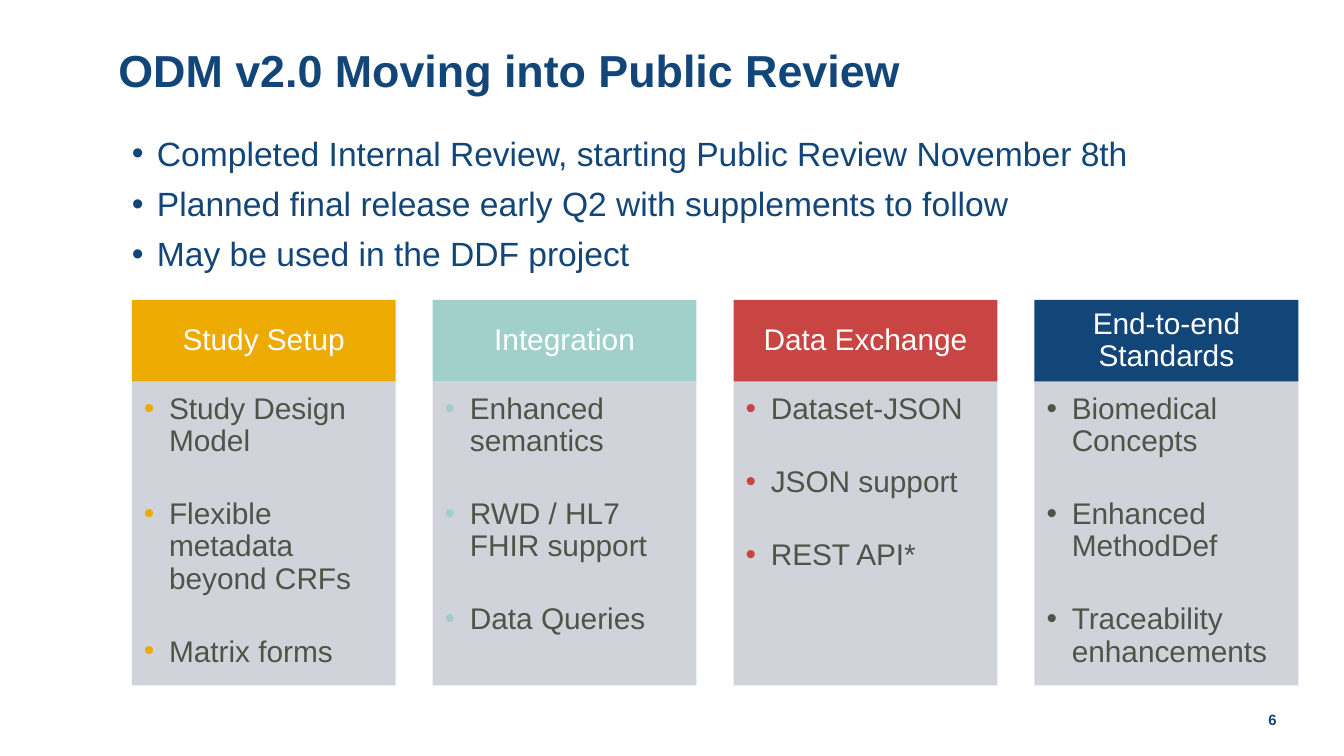
from lxml import etree
from pptx import Presentation
from pptx.dml.color import RGBColor
from pptx.enum.shapes import MSO_SHAPE
from pptx.enum.text import MSO_ANCHOR, PP_ALIGN
from pptx.oxml.ns import qn
from pptx.util import Pt

RECT = MSO_SHAPE.RECTANGLE
TOP, MIDDLE = MSO_ANCHOR.TOP, MSO_ANCHOR.MIDDLE
LEFT, CENTER, RIGHT = PP_ALIGN.LEFT, PP_ALIGN.CENTER, PP_ALIGN.RIGHT
NAVY, WHITE, GRAY, PALE = "134678", "FFFFFF", "515349", "CCCFD6"


def color(code):
    return RGBColor.from_string(code)


def write(shape, lines, size, ink, bold=False, align=LEFT, anchor=TOP,
          inset=(0, 0, 0, 0), gap=0, dot=None):
    """Fill a shape with paragraphs; dot is the bullet colour, if any."""
    frame = shape.text_frame
    frame.word_wrap = True
    frame.vertical_anchor = anchor
    frame.margin_left, frame.margin_top, frame.margin_right, frame.margin_bottom = map(Pt, inset)
    for i, line in enumerate(lines):
        para = frame.add_paragraph() if i else frame.paragraphs[0]
        para.text = line
        para.alignment = align
        para.line_spacing = 0.9
        if i:
            para.space_before = Pt(gap)
        if dot:
            props = para._p.get_or_add_pPr()
            props.set("marL", str(Pt(13.5)))
            props.set("indent", str(-Pt(13.5)))
            tint = etree.SubElement(props, qn("a:buClr"))
            etree.SubElement(tint, qn("a:srgbClr"), val=dot)
            etree.SubElement(props, qn("a:buFont"), typeface="Arial")
            etree.SubElement(props, qn("a:buChar"), char="•")
        font = para.font
        font.name, font.size, font.bold = "Arial", Pt(size), bold
        font.color.rgb = color(ink)


deck = Presentation()
deck.slide_width, deck.slide_height = Pt(720), Pt(405)
slide = deck.slides.add_slide(deck.slide_layouts[6])
shapes = slide.shapes

# Title
title = shapes.add_textbox(Pt(63.4), Pt(0), Pt(620.6), Pt(78.5))
write(title, ["ODM v2.0 Moving into Public Review"], 24, NAVY, bold=True, anchor=MIDDLE)

# Status bullets
status = shapes.add_textbox(Pt(70.6), Pt(73.4), Pt(625), Pt(78.5))
write(status, [
    "Completed Internal Review, starting Public Review November 8th",
    "Planned final release early Q2 with supplements to follow",
    "May be used in the DDF project",
], 18, NAVY, gap=7.5, dot=NAVY)

# Four theme columns: heading, fill, bullet colour, items
themes = [
    ("Study Setup", "EDAA00", "EDAA00",
     ["Study Design Model", "Flexible metadata beyond CRFs", "Matrix forms"]),
    ("Integration", "A1D0CA", "A1D0CA",
     ["Enhanced semantics", "RWD / HL7 FHIR support", "Data Queries"]),
    ("Data Exchange", "C94543", "C94543",
     ["Dataset-JSON", "JSON support", "REST API*"]),
    ("End-to-end Standards", NAVY, GRAY,
     ["Biomedical Concepts", "Enhanced MethodDef", "Traceability enhancements"]),
]
for i, (name, fill, dot, items) in enumerate(themes):
    left = Pt(70.6 + 161.2 * i)
    head = shapes.add_shape(RECT, left, Pt(160.6), Pt(141.4), Pt(43.9))
    body = shapes.add_shape(RECT, left, Pt(204.5), Pt(141.4), Pt(162.7))
    for box, shade in ((head, fill), (body, PALE)):
        box.shadow.inherit = False
        box.line.fill.background()
        box.fill.solid()
        box.fill.fore_color.rgb = color(shade)
    # Body panels are slightly see-through
    tone = body._element.spPr.find(qn("a:solidFill"))[0]
    etree.SubElement(tone, qn("a:alpha"), val="90000")
    write(head, [name], 16, WHITE, align=CENTER, anchor=MIDDLE, inset=(8.6, 5, 8.6, 5))
    write(body, items, 16, GRAY, inset=(6.5, 6.5, 8.6, 10), gap=21.8, dot=dot)

# Page number
page = shapes.add_textbox(Pt(660.2), Pt(375.1), Pt(23.8), Pt(21.6))
write(page, ["6"], 8, NAVY, bold=True, align=RIGHT, anchor=MIDDLE)

deck.save("out.pptx")
